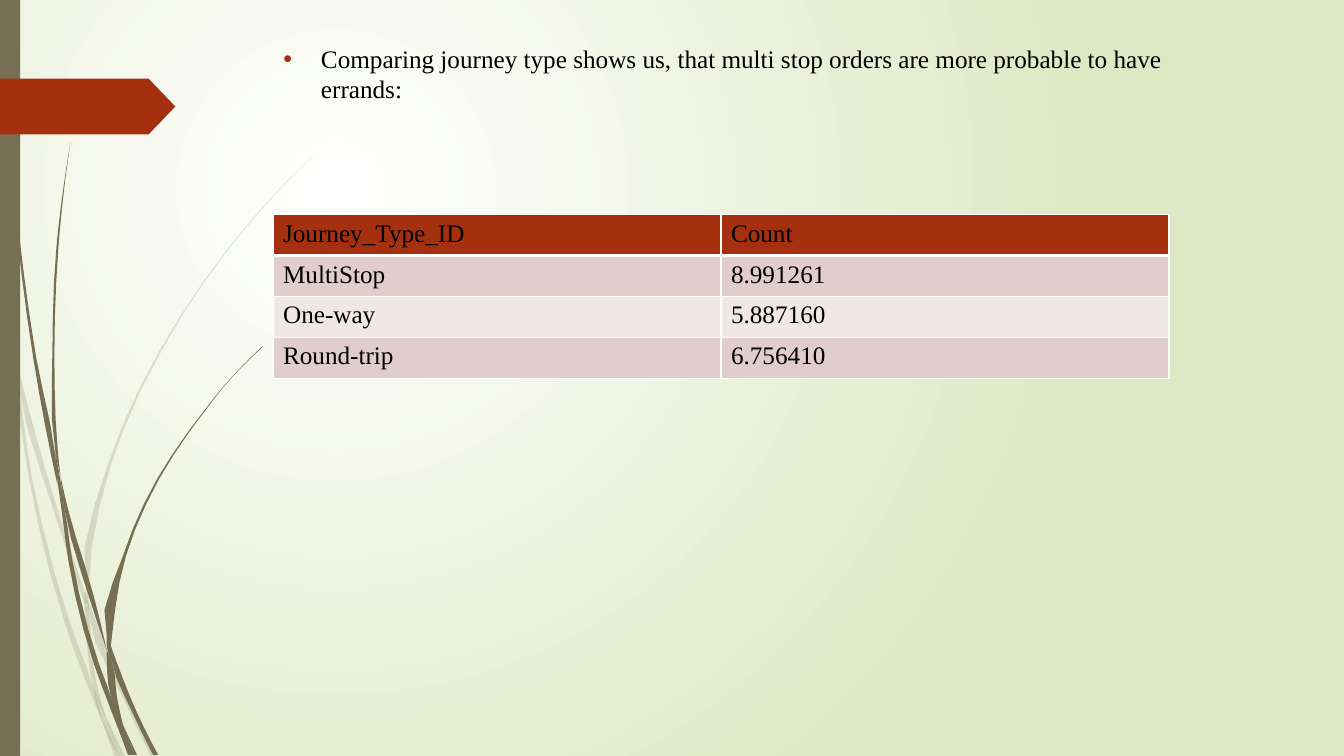
from lxml import etree
from pptx import Presentation
from pptx.dml.color import RGBColor
from pptx.enum.shapes import MSO_SHAPE as SHAPE
from pptx.oxml import parse_xml
from pptx.oxml.ns import nsdecls, qn
from pptx.util import Cm, Pt

FONT = "Times New Roman"
RUST, OLIVE, BLACK, WHITE = "A53010", "766F54", "000000", "FFFFFF"
HUNDREDTH = 0.0254  # stem coordinates are hundredths of an inch, in cm
STEPS = 3  # segments between two stem stations


def paint(shape, color):
    shape.shadow.inherit = False
    shape.fill.solid()
    shape.fill.fore_color.rgb = RGBColor.from_string(color)
    shape.line.fill.background()


def interpolate(stations, y, edge):
    """Edge position at height y on the parabola through the stations."""
    total = 0
    for a in stations:
        weight = a[edge]
        for b in stations:
            if b is not a:
                weight *= (y - b[0]) / (a[0] - b[0])
        total += weight
    return total


prs = Presentation()
prs.slide_width, prs.slide_height = Cm(33.87), Cm(19.05)
s = prs.slides.add_slide(prs.slide_layouts[6])

# Background: radial gradient centred in the upper left
fill = s.background.fill
fill.gradient()
for stop, color, position in zip(fill.gradient_stops, (WHITE, "DFE8C4"), (0, 1)):
    stop.color.rgb = RGBColor.from_string(color)
    stop.position = position
lin = s._element.find(".//" + qn("a:lin"))
lin.getparent().replace(lin, parse_xml(
    f'<a:path {nsdecls("a")} path="circle">'
    '<a:fillToRect l="50000" t="50000" r="100000" b="100000"/></a:path>'))

# Grass blades: stations of (y, left edge, right edge), top to bottom
pale_blades = [
    [(282, 0, 0), (299, 0, 4), (322, 5, 9), (350, 11, 11)],
    [(345, 14, 14), (376, 17, 21), (521, 58, 62), (599, 84, 88)],
    [(596, 88, 88), (610, 88, 93), (693, 122.5, 127.5), (751, 150, 155)],
    [(711, 105, 105), (751, 119, 124)],
    [(350, 11, 11), (376, 14.5, 17), (470, 28, 31), (620, 65, 70),
     (683, 88, 93), (714, 101, 101)],
    [(599, 84, 84), (610, 84, 88), (646, 87, 91), (683, 93, 97),
     (711, 105, 105)],
    [(153, 312, 312), (197.5, 268, 269), (244.5, 228, 229), (348.5, 158, 160),
     (461.5, 107, 110), (584, 85, 88), (596, 88, 88)],
    [(714, 101, 101), (751, 114, 119)],
    [(586, 85, 85), (599, 84, 88), (610, 88, 88)],
    [(683, 93, 93), (711, 99.5, 105), (751, 119, 119)],
]
dark_blades = [
    [(0, 3, 4), (109.5, 7, 8), (232.5, 17, 19), (355, 33, 36),
     (453, 51, 55), (481, 57, 57)],
    [(472, 60, 60), (505, 64, 67.5), (591, 88, 93), (645, 106, 106)],
    [(641, 110, 110), (656, 111, 115.5), (707, 131.5, 136), (749, 152, 157)],
    [(477, 57, 57), (505, 61, 64), (557, 68, 72), (658, 93, 98),
     (691, 105, 110), (722, 117, 117)],
    [(141, 70, 70), (193, 62, 63), (245, 56, 58), (349, 52, 54),
     (449, 55, 57.5), (472, 60, 60)],
    [(719, 122, 122), (749, 133, 136)],
    [(449, 55, 55), (477, 57, 60), (505, 64, 64)],
    [(344, 260, 261), (373.5, 230.5, 231), (405.5, 204, 205), (475, 156, 158),
     (551.5, 122, 125), (632, 106, 111), (641, 110, 110)],
    [(722, 117, 117), (749, 127, 131)],
    [(645, 106, 106), (656, 106, 111), (691, 110, 116), (719, 122, 122)],
    [(631, 106, 106), (641, 106, 110), (656, 111, 111)],
    [(691, 110, 110), (719, 116, 122), (749, 130, 133)],
]
for blades, alpha in ((pale_blades, 20), (dark_blades, 100)):
    for stations in blades:
        # Blend neighbouring parabolas into one smooth curve
        last = max(len(stations) - 3, 0)
        curve = []
        for i, (upper, lower) in enumerate(zip(stations, stations[1:])):
            before = stations[max(i - 1, 0):][:3]
            after = stations[min(i, last):][:3]
            for t in (k / STEPS for k in range(STEPS)):
                y = upper[0] + t * (lower[0] - upper[0])
                left, right = ((1 - t) * interpolate(before, y, edge)
                               + t * interpolate(after, y, edge) for edge in (1, 2))
                curve.append((y, left, right))
        curve.append(stations[-1])
        outline = [(x, y) for y, x, _ in curve] + [(x, y) for y, _, x in reversed(curve)]
        points = [(Cm(x * HUNDREDTH), Cm(y * HUNDREDTH)) for x, y in outline]
        builder = s.shapes.build_freeform(*points[0])
        builder.add_line_segments(points[1:], close=True)
        blade = builder.convert_to_shape()
        paint(blade, OLIVE)
        if alpha < 100:
            tint = blade._element.spPr.find(".//" + qn("a:srgbClr"))
            etree.SubElement(tint, qn("a:alpha"), val=str(alpha * 1000))

# Left bar and arrow tab
bar = s.shapes.add_shape(SHAPE.RECTANGLE, 0, 0, Cm(0.51), prs.slide_height)
paint(bar, OLIVE)
tab = s.shapes.add_shape(SHAPE.PENTAGON, 0, Cm(1.98), Cm(4.42), Cm(1.41))
tab.adjustments[0] = 0.48
paint(tab, RUST)

# Bulleted statement
tf = s.shapes.add_textbox(Cm(6.89), Cm(0.97), Cm(24.77), Cm(3.45)).text_frame
tf.word_wrap = True
p = tf.paragraphs[0]
p.text = ("Comparing journey type shows us, that multi stop orders "
          "are more probable to have errands:")
p.space_before = Pt(10)
r = p.runs[0]
r.font.size, r.font.name = Pt(18), FONT
r.font.color.rgb = RGBColor.from_string(BLACK)
pPr = p._p.get_or_add_pPr()
pPr.set("marL", str(Cm(0.95)))
pPr.set("indent", str(-Cm(0.95)))
bullet = (f'<a:buClr {nsdecls("a")}><a:srgbClr val="{RUST}"/></a:buClr>',
          f'<a:buFont {nsdecls("a")} typeface="Arial"/>',
          f'<a:buChar {nsdecls("a")} char="•"/>')
for i, xml in enumerate(bullet, 1):  # after the paragraph spacing
    pPr.insert(i, parse_xml(xml))

# Journey type table
rows = [("Journey_Type_ID", "Count"), ("MultiStop", "8.991261"),
        ("One-way", "5.887160"), ("Round-trip", "6.756410")]
row_fills = (RUST, "E1CDCC", "F0E8E7", "E1CDCC")
table = s.shapes.add_table(len(rows), 2, Cm(6.88), Cm(5.41),
                           Cm(22.58), Cm(4.12)).table
for i, (values, color) in enumerate(zip(rows, row_fills)):
    for j, value in enumerate(values):
        cell = table.cell(i, j)
        cell.text = value
        cell.fill.solid()
        cell.fill.fore_color.rgb = RGBColor.from_string(color)
        r = cell.text_frame.paragraphs[0].runs[0]
        r.font.size, r.font.name, r.font.bold = Pt(18), FONT, False
        r.font.color.rgb = RGBColor.from_string(BLACK)
        # White borders, thicker under the header
        thick = {(0, "B"), (1, "T")}
        for k, side in enumerate("LRTB"):
            width = Pt(3 if (i, side) in thick else 1)
            cell._tc.get_or_add_tcPr().insert(k, parse_xml(
                f'<a:ln{side} {nsdecls("a")} w="{width}"><a:solidFill>'
                f'<a:srgbClr val="{WHITE}"/></a:solidFill></a:ln{side}>'))

prs.save("out.pptx")
